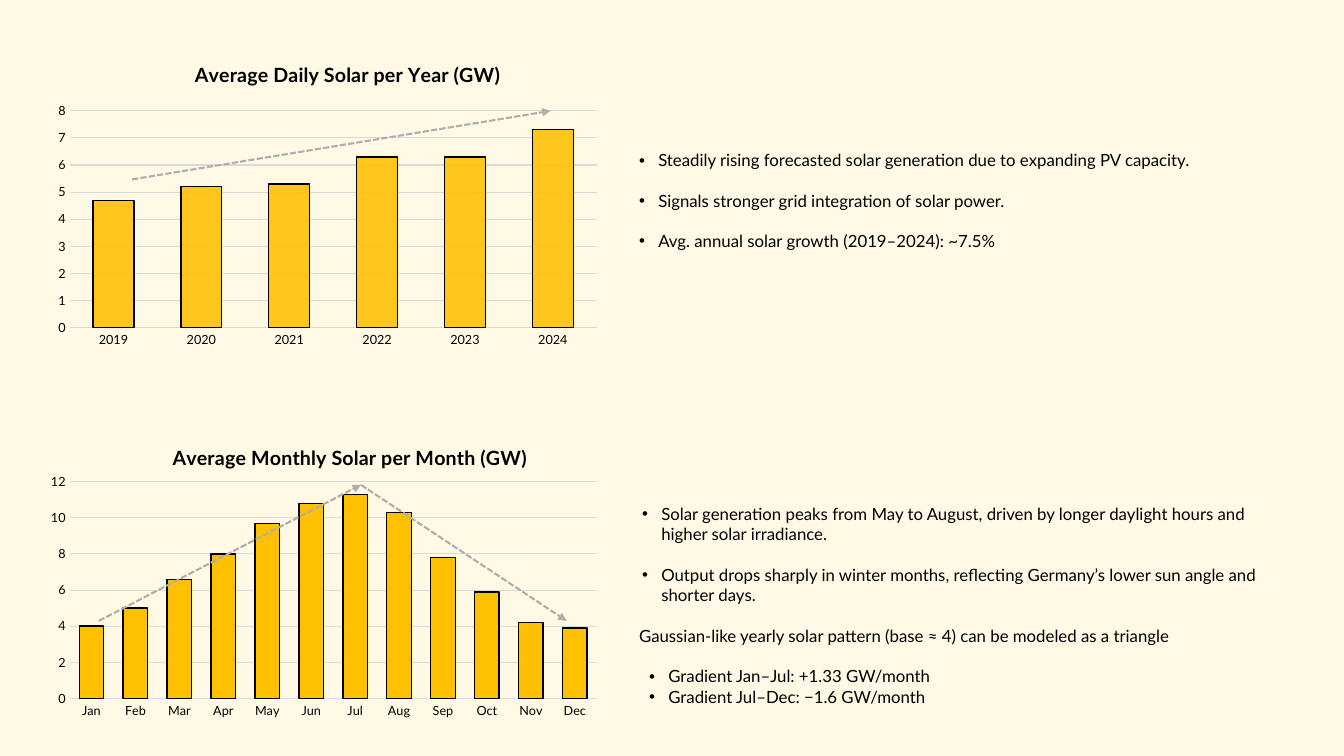
from lxml.etree import SubElement
from pptx import Presentation
from pptx.chart.data import CategoryChartData
from pptx.dml.color import RGBColor
from pptx.enum.chart import XL_CHART_TYPE as ChartType, XL_TICK_MARK as Tick
from pptx.enum.dml import MSO_LINE
from pptx.enum.shapes import MSO_CONNECTOR as Connector
from pptx.oxml.ns import qn
from pptx.oxml.xmlchemy import OxmlElement
from pptx.util import Inches, Pt

# Content
CHARTS = [
    {
        "title": "Average Monthly Solar per Month (GW)",
        "box": (0.38, 4.18, 5.66, 3), "title_at": (0.229, 0.06),
        "points": {"Jan": 4, "Feb": 5, "Mar": 6.6, "Apr": 8, "May": 9.7, "Jun": 10.8,
                   "Jul": 11.3, "Aug": 10.3, "Sep": 7.8, "Oct": 5.9, "Nov": 4.2, "Dec": 3.9},
        "top": 12, "step": 2, "gap": 79, "opacity": 100,
    },
    {
        "title": "Average Daily Solar per Year (GW)",
        "box": (0.46, 0.5, 5.57, 3), "title_at": (0.258, 0.02),
        "points": {"2019": 4.7, "2020": 5.2, "2021": 5.3,
                   "2022": 6.3, "2023": 6.3, "2024": 7.3},
        "top": 8, "step": 1, "gap": 115, "opacity": 87,
    },
]
NOTES = [
    {"box": (6.24, 1.44, 7.09, 1.72), "bullets": True, "gap": 14.4, "lines": [
        "Steadily rising forecasted solar generation due to expanding PV capacity.",
        "Signals stronger grid integration of solar power.",
        "Avg. annual solar growth (2019–2024): ~7.5%"]},
    {"box": (6.27, 4.95, 6.42, 1.11), "bullets": True, "gap": 14.4, "lines": [
        "Solar generation peaks from May to August, driven by longer daylight hours "
        "and higher solar irradiance.",
        "Output drops sharply in winter months, reflecting Germany’s lower sun angle "
        "and shorter days."]},
    {"box": (6.24, 6.16, 6.99, 0.3), "bullets": False, "gap": 0, "lines": [
        "Gaussian-like yearly solar pattern (base ≈ 4) can be modeled as a triangle"]},
    {"box": (6.34, 6.56, 6.89, 0.5), "bullets": True, "gap": 0, "lines": [
        "Gradient Jan–Jul: +1.33 GW/month",
        "Gradient Jul–Dec: −1.6 GW/month"]},
]
TRENDS = [
    (0.98, 6.16, 3.58, 4.81),
    (3.58, 4.81, 5.62, 6.16),
    (1.31, 1.78, 5.46, 1.1),
]
PLOT_LEFT, PLOT_WIDTH = 0.69, 5.23  # both plots share these page positions
PLOT_DROP, PLOT_HEIGHT = 0.6, 2.15
INDENT = 0.19
THEME = {
    "font": "Lato", "title": 14, "body": 12, "labels": 9,
    "page": RGBColor(0xFF, 0xF9, 0xE6), "bar": RGBColor(0xFF, 0xC0, 0x00),
    "ink": RGBColor(0, 0, 0), "grid": RGBColor(0xD9, 0xD9, 0xD9),
    "trend": RGBColor(0xAE, 0xAE, 0xAE),
}


def style_font(font, size, bold=False):
    formats = {"name": THEME["font"], "size": Pt(THEME[size]), "bold": bold}
    for name, value in formats.items():
        setattr(font, name, value)
    font.color.rgb = THEME["ink"]


def style_line(line, color, width):
    line.color.rgb = THEME[color]
    line.width = Pt(width)


def make_layout(**values):
    layout = OxmlElement("c:layout")
    manual = SubElement(layout, qn("c:manualLayout"))
    for name, value in values.items():
        SubElement(manual, qn(f"c:{name}")).set("val", str(value))
    return layout


def place(parent, layout, before):
    for old in parent.findall(qn("c:layout")):
        parent.remove(old)
    parent.find(qn(before)).addprevious(layout)


def add_bar_chart(page, item):
    left, top, width, height = item["box"]
    data = CategoryChartData()
    data.categories = list(item["points"])
    data.add_series("Series 1", list(item["points"].values()))
    chart = page.shapes.add_chart(ChartType.COLUMN_CLUSTERED, *map(Inches, item["box"]), data).chart
    chart.has_legend = False
    style_font(chart.font, "labels")

    # Title
    chart.has_title = True
    para = chart.chart_title.text_frame.paragraphs[0]
    span = para.add_run()
    span.text = item["title"]
    style_font(span.font, "title", bold=True)
    chart.chart_title.include_in_layout = False
    x, y = item["title_at"]
    place(chart.chart_title._element, make_layout(xMode="edge", yMode="edge", x=x, y=y), "c:overlay")

    # Plot area and bars
    frame = make_layout(
        layoutTarget="inner", xMode="edge", yMode="edge",
        x=(PLOT_LEFT - left) / width, y=PLOT_DROP / height,
        w=PLOT_WIDTH / width, h=PLOT_HEIGHT / height)
    place(chart._chartSpace.chart.plotArea, frame, "c:barChart")
    plot = chart.plots[0]
    for name, value in {"gap_width": item["gap"], "overlap": -27, "vary_by_categories": False}.items():
        setattr(plot, name, value)
    bars = plot.series[0]
    bars.format.fill.solid()
    bars.format.fill.fore_color.rgb = THEME["bar"]
    if item["opacity"] < 100:
        color = bars._element.find(qn("c:spPr")).find(qn("a:solidFill"))[0]
        SubElement(color, qn("a:alpha")).set("val", str(item["opacity"] * 1000))
    style_line(bars.format.line, "ink", 1)

    # Axes
    for axis in (chart.category_axis, chart.value_axis):
        axis.major_tick_mark = axis.minor_tick_mark = Tick.NONE
        style_font(axis.tick_labels.font, "labels")
    style_line(chart.category_axis.format.line, "grid", 0.75)
    scale = chart.value_axis
    limits = {"minimum_scale": 0, "maximum_scale": item["top"],
              "major_unit": item["step"], "has_major_gridlines": True}
    for name, value in limits.items():
        setattr(scale, name, value)
    scale.format.line.fill.background()
    style_line(scale.major_gridlines.format.line, "grid", 0.75)


def add_note(page, note):
    box = page.shapes.add_textbox(*map(Inches, note["box"]))
    frame = box.text_frame
    frame.word_wrap = True
    for index, line in enumerate(note["lines"]):
        para = frame.paragraphs[0] if index == 0 else frame.add_paragraph()
        if index:
            para.space_before = Pt(note["gap"])
        if note["bullets"]:
            props = para._p.get_or_add_pPr()
            props.set("marL", str(Inches(INDENT)))
            props.set("indent", str(-Inches(INDENT)))
            SubElement(props, qn("a:buFont")).set("typeface", "Arial")
            SubElement(props, qn("a:buChar")).set("char", "•")
        span = para.add_run()
        span.text = line
        style_font(span.font, "body")


def add_trend(page, ends):
    arrow = page.shapes.add_connector(Connector.STRAIGHT, *map(Inches, ends))
    style_line(arrow.line, "trend", 1.5)
    arrow.line.dash_style = MSO_LINE.SQUARE_DOT
    SubElement(arrow.line._get_or_add_ln(), qn("a:tailEnd")).set("type", "triangle")
    SubElement(arrow._element.spPr, qn("a:effectLst"))


def main():
    deck = Presentation()
    deck.slide_width, deck.slide_height = Inches(13.33), Inches(7.5)
    page = deck.slides.add_slide(deck.slide_layouts[6])
    page.background.fill.solid()
    page.background.fill.fore_color.rgb = THEME["page"]
    for add_part, items in ((add_bar_chart, CHARTS), (add_note, NOTES), (add_trend, TRENDS)):
        for item in items:
            add_part(page, item)
    deck.save("out.pptx")


if __name__ == "__main__":
    main()
